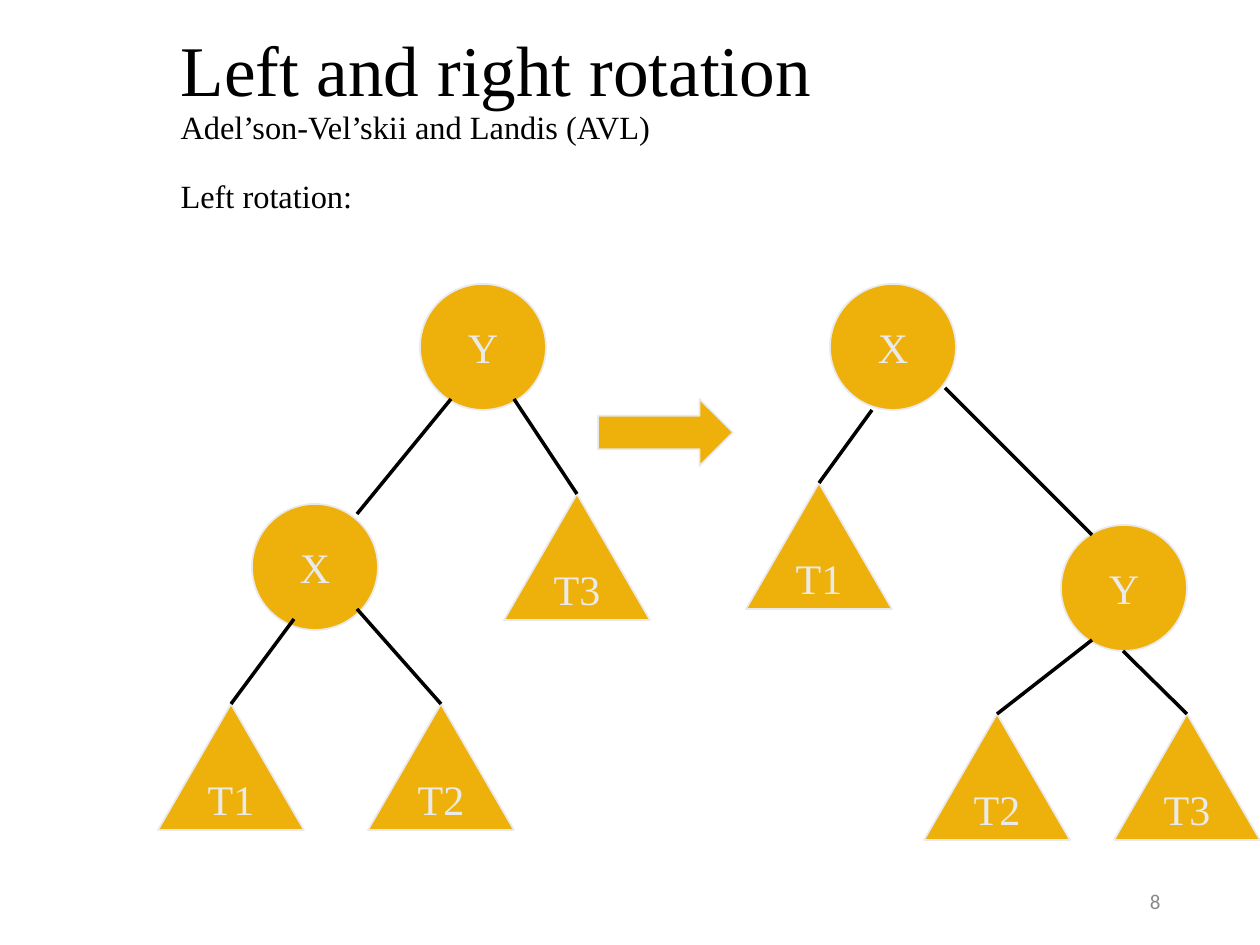
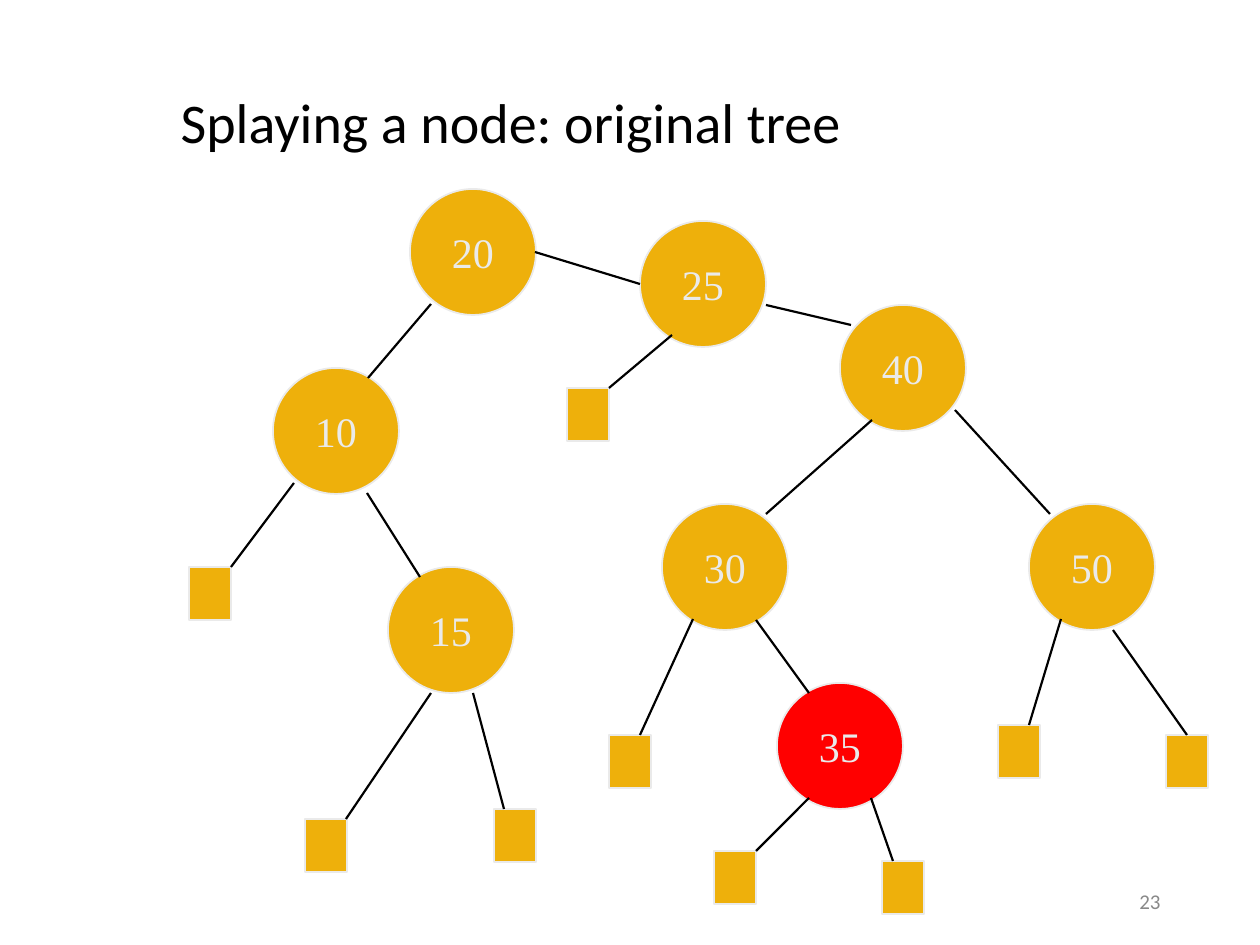
"""Build two slides on tree rotation and splaying."""
import pptx
import pptx.util
import pptx.dml.color
import pptx.enum.shapes
import pptx.enum.text
import pptx.oxml

PX = 914400 / 126
SERIF, SANS = "Times New Roman", "Calibri"
GOLD, PALE, RED, BLACK, GREY = "EEB00B", "EAEAEA", "FF0000", "000000", "898989"
SHAPE = pptx.enum.shapes.MSO_SHAPE
ALIGN = pptx.enum.text.PP_ALIGN
MIDDLE = pptx.enum.text.MSO_ANCHOR.MIDDLE

KINDS = {
    "node": (SHAPE.OVAL, 126, 126),
    "sub": (SHAPE.ISOSCELES_TRIANGLE, 146, 126),
    "leaf": (SHAPE.RECTANGLE, 42, 53),
    "arrow": (SHAPE.RIGHT_ARROW, 135, 67),
}
LABELED = ("node", "sub")

BEFORE = {
    "node": {"Y": (420, 284), "X": (252, 504)},
    "sub": {"T1": (158, 704), "T2": (368, 704), "T3": (504, 494)},
    "arrow": {"turn": (598, 399)},
    "edges": [
        ((451, 399), (357, 514)),
        ((514, 399), "T3"),
        ((294, 619), "T1"),
        ((357, 609), "T2"),
    ],
}
AFTER = {
    "node": {"X": (830, 284), "Y": (1061, 525)},
    "sub": {"T1": (746, 483), "T2": (924, 714), "T3": (1114, 714)},
    "edges": [
        ((872, 410), "T1"),
        ((945, 388), (1092, 535)),
        ((1092, 640), "T2"),
        ((1123, 651), "T3"),
    ],
}
SPLAY = {
    "node": {
        "20": (410, 189), "25": (640, 221), "40": (840, 305), "10": (273, 368),
        "15": (388, 567), "30": (662, 504), "50": (1029, 504), "35": (777, 683),
    },
    "leaf": {
        "10 left": (189, 567), "15 left": (305, 819), "15 right": (494, 809),
        "25 left": (567, 388), "30 left": (609, 735), "35 left": (714, 851),
        "35 right": (882, 861), "50 left": (998, 725), "50 right": (1166, 735),
    },
    "edges": [
        ((535, 252), (640, 284)),
        ((431, 304), (368, 378)),
        ((766, 305), (851, 325)),
        ((672, 335), (609, 388)),
        ((955, 410), (1050, 514)),
        ((872, 420), (766, 514)),
        ((294, 483), (231, 567)),
        ((367, 493), (420, 577)),
        ((431, 693), (346, 819)),
        ((473, 693), (504, 809)),
        ((693, 619), (640, 735)),
        ((756, 620), (809, 693)),
        ((809, 798), (756, 851)),
        ((871, 798), (893, 861)),
        ((1061, 619), (1029, 725)),
        ((1113, 630), "50 right"),
    ],
}
SLIDES = [
    {
        "title": [
            ("Left and right rotation", 40.7, SERIF, 0),
            ("Adel’son-Vel’skii and Landis (AVL)", 18.5, SERIF, 0),
            ("Left rotation:", 18.5, SERIF, 19),
        ],
        "box": (168, 9, 1071, 232), "trees": [BEFORE, AFTER],
        "line": 2, "hot": "", "number": "8",
    },
    {
        "title": [("Splaying a node: original tree", 32, SANS, 0)],
        "box": (168, 42, 1071, 166), "trees": [SPLAY],
        "line": 1.25, "hot": "35", "number": "23",
    },
]


def emu(*vals):
    return [pptx.util.Emu(round(val * PX)) for val in vals]


def rgb(code):
    return pptx.dml.color.RGBColor.from_string(code)


def write(para, text, size, face, tint, align):
    para.alignment = align
    run = para.add_run()
    run.text = text
    run.font.size = pptx.util.Pt(size)
    run.font.name = face
    run.font.color.rgb = rgb(tint)


def head(slide, lines, box):
    title = slide.shapes.title
    title.left, title.top, title.width, title.height = emu(*box)
    frame = title.text_frame
    frame.auto_size = pptx.enum.text.MSO_AUTO_SIZE.NONE
    frame.vertical_anchor = MIDDLE
    for rank, (text, size, face, gap) in enumerate(lines):
        para = frame.add_paragraph() if rank else frame.paragraphs[0]
        para.line_spacing = 0.9
        para.space_before = pptx.util.Pt(gap)
        write(para, text, size, face, BLACK, ALIGN.LEFT)


def foot(slide, number):
    box = slide.shapes.add_textbox(*emu(890, 876, 283, 50))
    box.text_frame.word_wrap = True
    box.text_frame.vertical_anchor = MIDDLE
    write(box.text_frame.paragraphs[0], number, 12, SANS, GREY, ALIGN.RIGHT)


def part(slide, kind, name, spot, tint):
    form, wide, high = KINDS[kind]
    shape = slide.shapes.add_shape(form, *emu(*spot, wide, high))
    shape.shadow.inherit = False
    shape.fill.solid()
    shape.fill.fore_color.rgb = rgb(tint)
    shape.line.color.rgb = rgb(PALE)
    shape.line.width = pptx.util.Pt(1)
    if kind in LABELED:
        frame = shape.text_frame
        frame.word_wrap = False
        frame.vertical_anchor = MIDDLE
        write(frame.paragraphs[0], name, 24, SERIF, PALE, ALIGN.CENTER)
    return shape


def edge(slide, start, end, parts, width):
    joined = isinstance(end, str)
    stop = start if joined else end
    link = slide.shapes.add_connector(
        pptx.enum.shapes.MSO_CONNECTOR.STRAIGHT, *emu(*start, *stop))
    if joined:
        link.end_connect(parts[end], 0)
    link.line.color.rgb = rgb(BLACK)
    link.line.width = pptx.util.Pt(width)
    props = link.element.spPr
    props.append(pptx.oxml.parse_xml(
        '<a:effectLst xmlns:a="http://schemas.openxmlformats.org/drawingml/2006/main"/>'))


def draw(slide, tree, width, hot):
    parts = {}
    for kind in KINDS:
        for name, spot in tree.get(kind, {}).items():
            tint = RED if name == hot else GOLD
            parts[name] = part(slide, kind, name, spot, tint)
    for start, end in tree["edges"]:
        edge(slide, start, end, parts, width)


def main():
    deck = pptx.Presentation()
    deck.slide_width, deck.slide_height = emu(1260, 945)
    for page in SLIDES:
        slide = deck.slides.add_slide(deck.slide_layouts[5])
        head(slide, page["title"], page["box"])
        for tree in page["trees"]:
            draw(slide, tree, page["line"], page["hot"])
        foot(slide, page["number"])
    deck.save("out.pptx")


if __name__ == "__main__":
    main()
